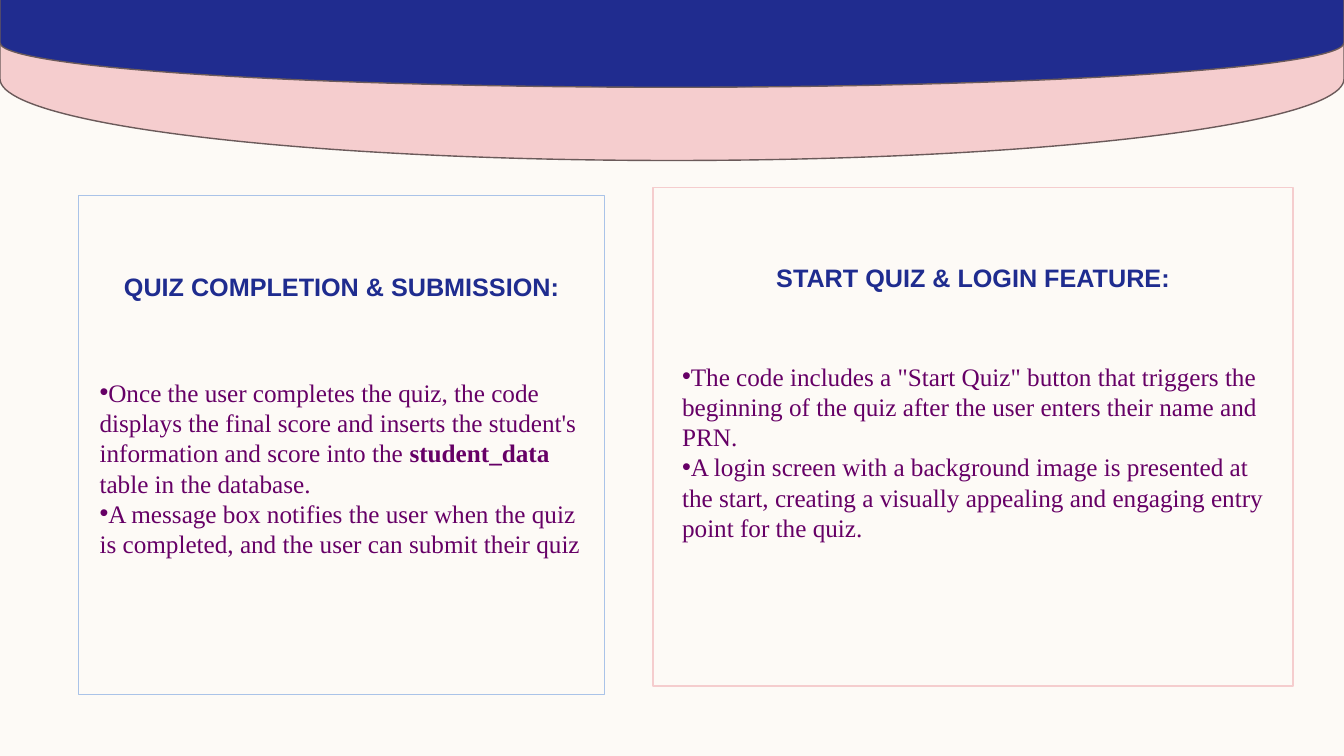
from dataclasses import dataclass

from lxml import etree
from pptx import Presentation
from pptx import util as u
from pptx.dml.color import RGBColor
from pptx.enum import shapes, text
from pptx.oxml.ns import qn


@dataclass(frozen=True)
class Theme:
    cream: RGBColor = RGBColor.from_string("FDFAF6")
    pink: RGBColor = RGBColor.from_string("F5CDCE")
    navy: RGBColor = RGBColor.from_string("202C8F")
    heading: RGBColor = RGBColor.from_string("1F2C8F")
    light_blue: RGBColor = RGBColor.from_string("AAC3E8")
    brown: RGBColor = RGBColor.from_string("6B5A5A")
    purple: RGBColor = RGBColor.from_string("660066")
    heading_font: str = "Arial"
    body_font: str = "Times New Roman"
    size: u.Pt = u.Pt(18)
    line: u.Pt = u.Pt(1)


theme = Theme()


def add_outlined(kind, box, line_color):
    shape = slide.shapes.add_shape(kind, *[u.Cm(length) for length in box])
    shape.shadow.inherit = False
    shape.line.color.rgb = line_color
    shape.line.width = theme.line
    return shape


def add_bullet(paragraph):
    properties = paragraph._p.get_or_add_pPr()
    properties.set("marL", "0")
    properties.set("indent", "0")
    etree.SubElement(properties, qn("a:buFont")).set("typeface", "Arial")
    etree.SubElement(properties, qn("a:buChar")).set("char", "•")


presentation = Presentation()
presentation.slide_width = u.Cm(33.87)
presentation.slide_height = u.Cm(19.05)
slide = presentation.slides.add_slide(presentation.slide_layouts[6])
slide.background.fill.solid()
slide.background.fill.fore_color.rgb = theme.cream

# Cards: heading, outline, frame, text box, anchor, bullets
# Each bullet is a list of parts, alternately regular and bold
cards = [
    ("QUIZ COMPLETION & SUBMISSION:", theme.light_blue,
     (1.98, 4.93, 13.26, 12.57), (2.26, 8.59, 12.7, 6.4), text.MSO_ANCHOR.MIDDLE,
     [["Once the user completes the quiz, the code displays the final score and "
       "inserts the student's information and score into the ",
       "student_data", " table in the database."],
      ["A message box notifies the user when the quiz is completed, "
       "and the user can submit their quiz"]]),
    ("START QUIZ & LOGIN FEATURE:", theme.pink,
     (16.46, 4.72, 16.13, 12.57), (16.94, 8.97, 15.39, 4.88), text.MSO_ANCHOR.TOP,
     [['The code includes a "Start Quiz" button that triggers the beginning of '
       "the quiz after the user enters their name and PRN."],
      ["A login screen with a background image is presented at the start, creating "
       "a visually appealing and engaging entry point for the quiz."]]),
]

for heading, outline, frame, body_box, anchor, bullets in cards:
    # Frame with its heading
    card = add_outlined(shapes.MSO_SHAPE.RECTANGLE, frame, outline)
    card.fill.background()
    text_frame = card.text_frame
    text_frame.text = heading
    text_frame.word_wrap = True
    text_frame.vertical_anchor = text.MSO_ANCHOR.TOP
    text_frame.margin_top = u.Cm(1.9)
    paragraph = text_frame.paragraphs[0]
    paragraph.alignment = text.PP_ALIGN.CENTER
    font = paragraph.runs[0].font
    font.name, font.size, font.bold = theme.heading_font, theme.size, True
    font.color.rgb = theme.heading

    # Bulleted text
    body = slide.shapes.add_textbox(*[u.Cm(length) for length in body_box])
    text_frame = body.text_frame
    text_frame.word_wrap = True
    text_frame.vertical_anchor = anchor
    for index, parts in enumerate(bullets):
        paragraph = text_frame.add_paragraph() if index else text_frame.paragraphs[0]
        add_bullet(paragraph)
        for position, part in enumerate(parts):
            run = paragraph.add_run()
            run.text = part
            font = run.font
            font.name, font.size = theme.body_font, theme.size
            font.bold = position % 2 == 1
            font.color.rgb = theme.purple

# Curved header bands, turned to lie across the full width
band_length = 33.87
for depth, center, color in [(4.11, 1.99, theme.pink), (2.24, 1.08, theme.navy)]:
    box = ((band_length - depth) / 2, center - band_length / 2, depth, band_length)
    band = add_outlined(shapes.MSO_SHAPE.FLOWCHART_DELAY, box, theme.brown)
    band.rotation = 90
    band.fill.solid()
    band.fill.fore_color.rgb = color

presentation.save("out.pptx")
